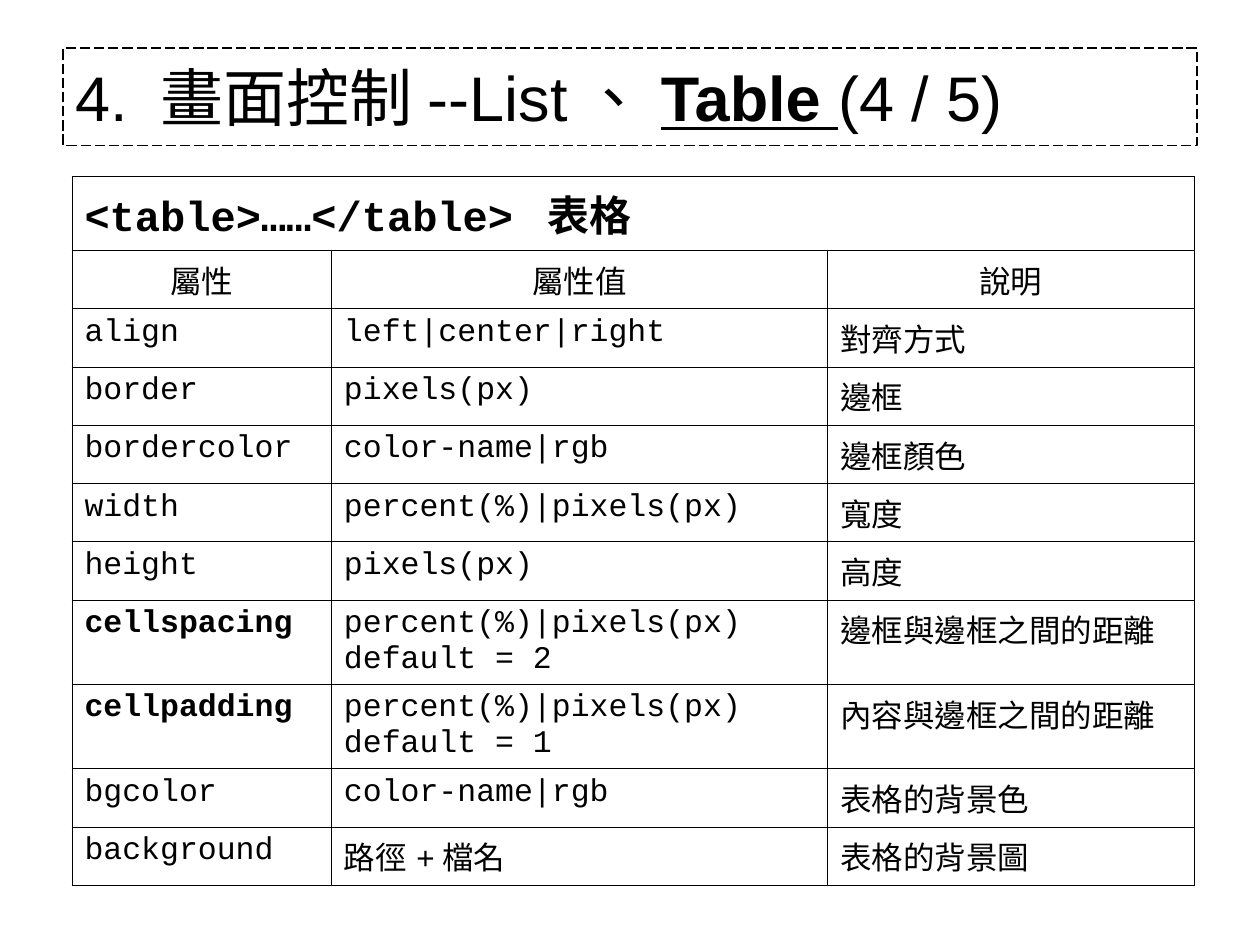
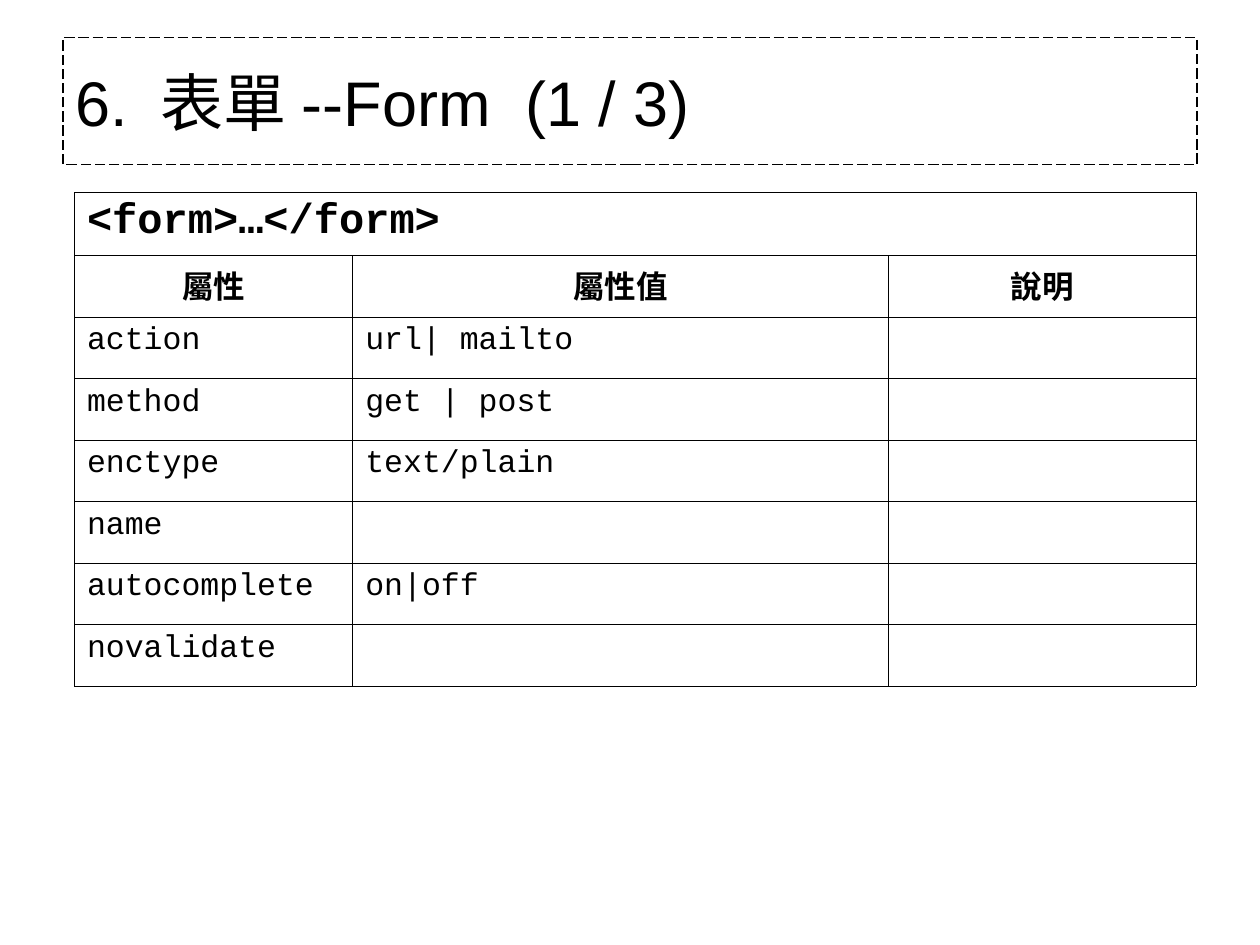
from dataclasses import dataclass

from lxml.etree import SubElement
from pptx import Presentation
from pptx.dml.color import RGBColor
from pptx.enum.dml import MSO_LINE_DASH_STYLE as Dash
from pptx.enum.lang import MSO_LANGUAGE_ID as Language
from pptx.enum.text import MSO_ANCHOR as Anchor, MSO_AUTO_SIZE as AutoSize, PP_ALIGN as Align
from pptx.oxml.ns import qn
from pptx.util import Cm, Pt


@dataclass(frozen=True)
class Theme:
    ink: str = "000000"
    paper: str = "FFFFFF"
    title_font: str = "Arial"
    code_font: str = "Courier New"
    title_size: int = 36
    caption_size: int = 24
    cell_size: int = 18
    title_line: float = 0.75
    grid_line: float = 0.45


THEME = Theme()
TITLE_LEFT, TITLE_WIDTH = 1.27, 22.86
HEADINGS = ("屬性", "屬性值", "說明")

SLIDES = [
    {
        "title": [("4. 畫面控制--List、", False), ("Table ", True), ("(4 / 5)", False)],
        "title_top": 0.97,
        "title_height": 1.96,
        "caption": "<table>……</table> 表格",
        "bold_headings": False,
        "bold_attributes": {"cellspacing", "cellpadding"},
        "attributes": [
            ("align", "left|center|right", "對齊方式"),
            ("border", "pixels(px)", "邊框"),
            ("bordercolor", "color-name|rgb", "邊框顏色"),
            ("width", "percent(%)|pixels(px)", "寬度"),
            ("height", "pixels(px)", "高度"),
            ("cellspacing", "percent(%)|pixels(px)\ndefault = 2", "邊框與邊框之間的距離"),
            ("cellpadding", "percent(%)|pixels(px)\ndefault = 1", "內容與邊框之間的距離"),
            ("bgcolor", "color-name|rgb", "表格的背景色"),
            ("background", "路徑+檔名", "表格的背景圖"),
        ],
        "table_at": (1.45, 3.56),
        "columns": (5.23, 10, 7.4),
        "caption_height": 1.47,
        "row_height": 1.17,
        "two_line_height": 1.7,
    },
    {
        "title": [("6. 表單--Form  (1 / 3)", False)],
        "title_top": 0.76,
        "title_height": 2.56,
        "caption": "<form>…</form>",
        "bold_headings": True,
        "bold_attributes": set(),
        "attributes": [
            ("action", "url| mailto", ""),
            ("method", "get | post", ""),
            ("enctype", "text/plain", ""),
            ("name", "", ""),
            ("autocomplete", "on|off", ""),
            ("novalidate", "", ""),
        ],
        "table_at": (1.5, 3.88),
        "columns": (5.61, 10.8, 6.2),
        "caption_height": 1.27,
        "row_height": 1.24,
        "two_line_height": 1.7,
    },
]


def format_font(font, name, size, bold=False):
    font.name = name
    font.size = Pt(size)
    font.bold = bold
    font.color.rgb = RGBColor.from_string(THEME.ink)
    font.language_id = Language.TRADITIONAL_CHINESE


def add_title(slide, content):
    title = slide.shapes.title
    title.left, title.width = Cm(TITLE_LEFT), Cm(TITLE_WIDTH)
    title.top, title.height = Cm(content["title_top"]), Cm(content["title_height"])
    title.line.color.rgb = RGBColor.from_string(THEME.ink)
    title.line.width = Pt(THEME.title_line)
    title.line.dash_style = Dash.LONG_DASH
    text_frame = title.text_frame
    text_frame.auto_size = AutoSize.NONE
    text_frame.vertical_anchor = Anchor.MIDDLE
    paragraph = text_frame.paragraphs[0]
    paragraph.alignment = Align.LEFT
    for text, emphasized in content["title"]:
        run = paragraph.add_run()
        run.text = text
        format_font(run.font, THEME.title_font, THEME.title_size, emphasized)
        run.font.underline = emphasized


def style_cell(cell):
    properties = cell._tc.get_or_add_tcPr()
    for side in ("a:lnL", "a:lnR", "a:lnT", "a:lnB"):
        line = SubElement(properties, qn(side), w=str(Pt(THEME.grid_line)))
        fill = SubElement(line, qn("a:solidFill"))
        SubElement(fill, qn("a:srgbClr"), val=THEME.ink)
    cell.fill.background()


def write_cell(cell, text, size=THEME.cell_size, bold=False, alignment=Align.LEFT):
    cell.text_frame.text = text
    for paragraph in cell.text_frame.paragraphs:
        paragraph.alignment = alignment
        for run in paragraph.runs:
            format_font(run.font, THEME.code_font, size, bold)


def add_attribute_table(slide, content):
    attributes = content["attributes"]
    heights = [content["caption_height"], content["row_height"]]
    heights += [content["two_line_height" if "\n" in value else "row_height"]
                for _, value, _ in attributes]
    left, top = content["table_at"]
    columns = content["columns"]
    table = slide.shapes.add_table(
        len(heights), len(columns), Cm(left), Cm(top), Cm(sum(columns)), Cm(sum(heights))
    ).table
    table.first_row = table.horz_banding = False
    for column, width in zip(table.columns, columns):
        column.width = Cm(width)
    for row, height in zip(table.rows, heights):
        row.height = Cm(height)
    for cell in table.iter_cells():
        style_cell(cell)

    table.cell(0, 0).merge(table.cell(0, len(columns) - 1))
    write_cell(table.cell(0, 0), content["caption"], THEME.caption_size, bold=True)
    for column_index, heading in enumerate(HEADINGS):
        write_cell(table.cell(1, column_index), heading,
                   bold=content["bold_headings"], alignment=Align.CENTER)
    for row_index, attribute in enumerate(attributes, start=2):
        for column_index, text in enumerate(attribute):
            write_cell(table.cell(row_index, column_index), text,
                       bold=text in content["bold_attributes"])


def main():
    presentation = Presentation()
    presentation.slide_width, presentation.slide_height = Cm(25.4), Cm(19.05)
    title_only = presentation.slide_layouts[5]
    background = presentation.slide_master.background.fill
    background.solid()
    background.fore_color.rgb = RGBColor.from_string(THEME.paper)
    for content in SLIDES:
        slide = presentation.slides.add_slide(title_only)
        add_title(slide, content)
        add_attribute_table(slide, content)
    presentation.save("out.pptx")


if __name__ == "__main__":
    main()
